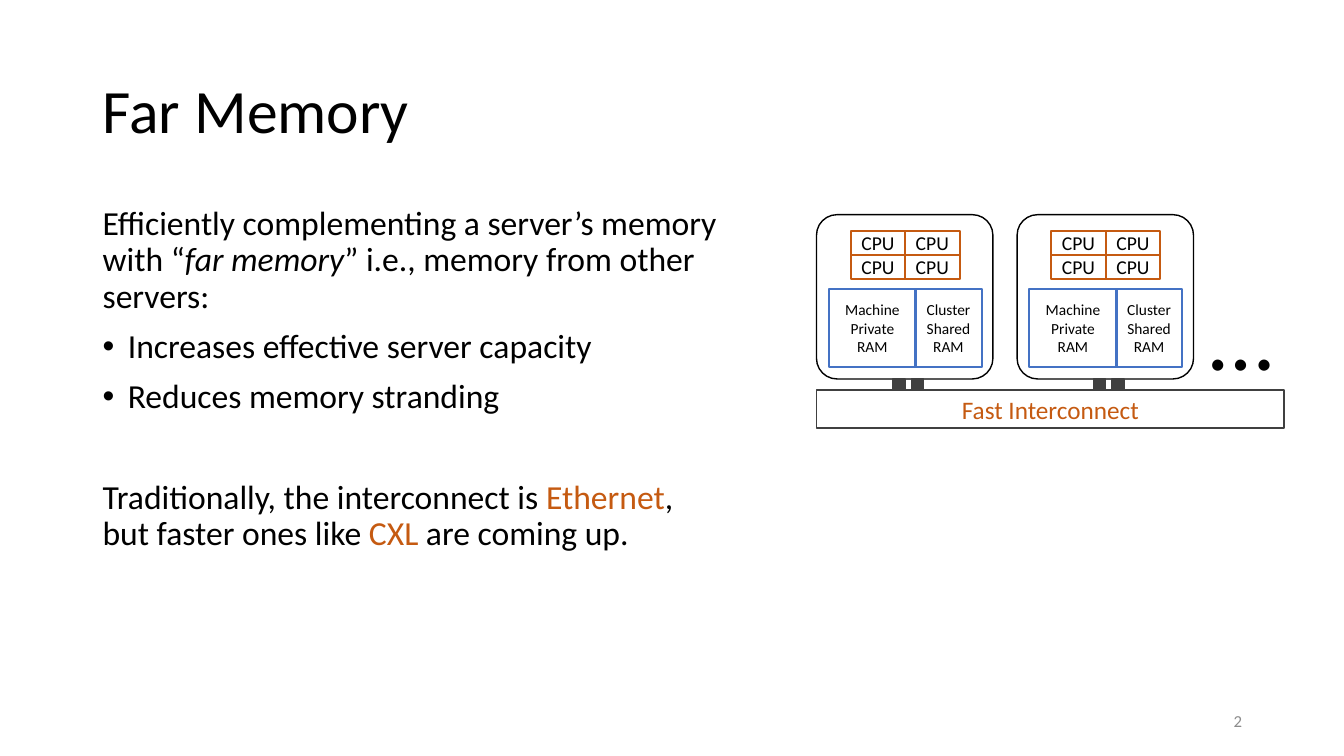
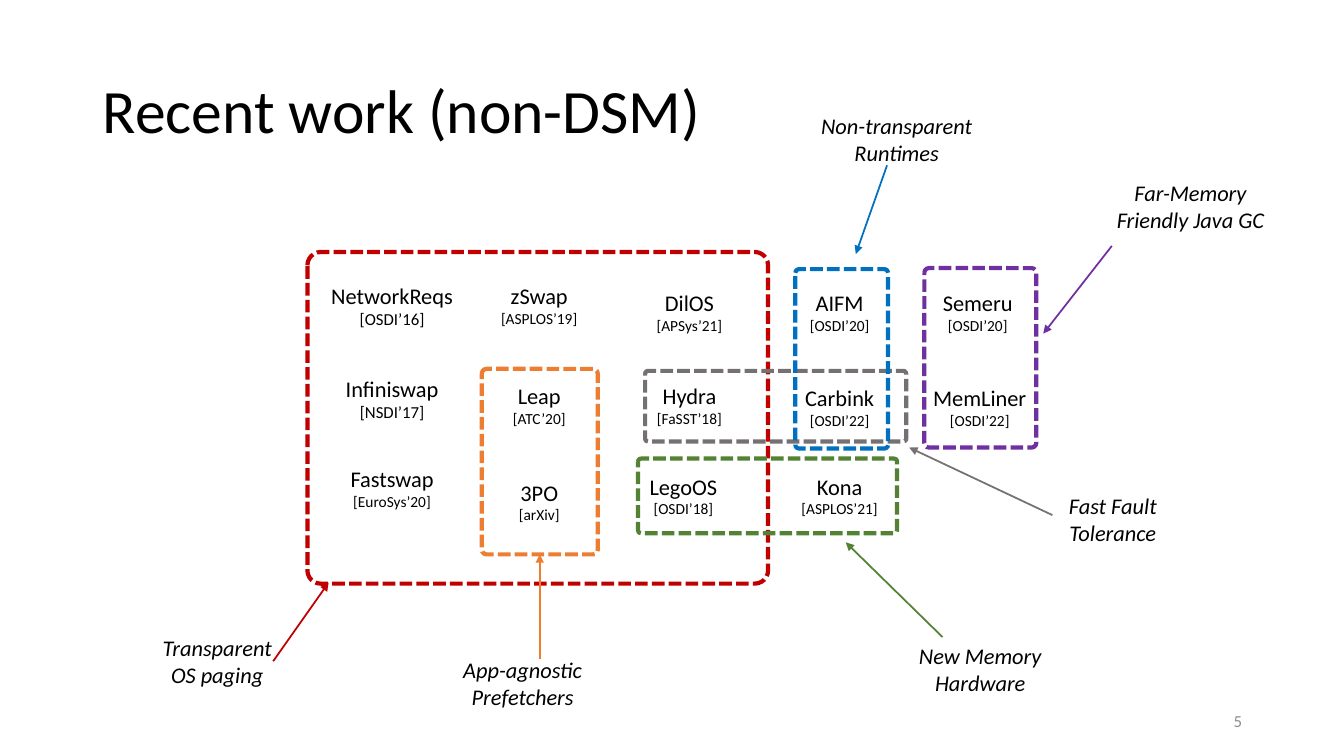
from lxml.etree import SubElement
from pptx import Presentation
from pptx.dml.color import RGBColor
from pptx.enum.dml import MSO_LINE
from pptx.enum.shapes import MSO_CONNECTOR, MSO_SHAPE
from pptx.enum.text import MSO_ANCHOR, PP_ALIGN
from pptx.oxml.ns import qn
from pptx.util import Inches, Pt

BLACK, RUST, BLUE, DARK, GREY = "000000", "C55A11", "4472C4", "404040", "8C8C8C"
LEFT, MID, RIGHT = PP_ALIGN.LEFT, PP_ALIGN.CENTER, PP_ALIGN.RIGHT
RECT, ROUND = MSO_SHAPE.RECTANGLE, MSO_SHAPE.ROUNDED_RECTANGLE


def hue(code):
    """Turn a hex string into a colour."""
    return RGBColor.from_string(code)


def cell(*spans):
    """Turn grid columns or rows, a tenth of an inch each, into lengths."""
    return [Inches(span / 10) for span in spans]


def write(frame, paras, size=16, color=BLACK, italic=False, align=LEFT,
          anchor=MSO_ANCHOR.TOP, lead=None, gap=0, wrap=True, pad=None):
    """Fill a frame; a paragraph is a list of strings or (string, changes) pairs."""
    frame.word_wrap = wrap
    frame.vertical_anchor = anchor
    if pad is not None:
        frame.margin_left = frame.margin_right = pad
        frame.margin_top = frame.margin_bottom = pad
    for at, runs in enumerate(paras):
        para = frame.add_paragraph() if at else frame.paragraphs[0]
        para.alignment = align
        para.space_before = Pt(gap if at else 0)
        if lead:
            para.line_spacing = lead
        for part in runs:
            words, change = (part, {}) if isinstance(part, str) else part
            run = para.add_run()
            run.text = words
            run.font.name = Deck.face
            run.font.size = Pt(change.get("size", size))
            run.font.italic = change.get("italic", italic)
            run.font.color.rgb = hue(change.get("color", color))
    return frame


class Deck:
    """Hold the shared style and the current slide."""

    face = "Calibri"

    def __init__(self):
        """Start an empty wide deck."""
        self.show = Presentation()
        self.show.slide_width, self.show.slide_height = cell(133.33, 75)

    def page(self, title, number):
        """Add a slide with its title and number."""
        self.slide = self.show.slides.add_slide(self.show.slide_layouts[5])
        head = self.slide.shapes.title
        head.left, head.top, head.width, head.height = cell(9.2, 4, 115, 14.5)
        write(head.text_frame, [[title]], size=44, lead=0.9, anchor=MSO_ANCHOR.MIDDLE)
        self.text((94.2, 69.5, 30, 4), [[number]], size=12, color=GREY,
                  align=RIGHT, anchor=MSO_ANCHOR.MIDDLE)

    def text(self, place, paras, **form):
        """Add a text box."""
        box = self.slide.shapes.add_textbox(*cell(*place))
        return write(box.text_frame, paras, **form)

    def shape(self, kind, place, line, width, fill=None, bend=None, dash=None):
        """Add an outlined shape."""
        item = self.slide.shapes.add_shape(kind, *cell(*place))
        item.shadow.inherit = False
        item.line.color.rgb = hue(line)
        item.line.width = Pt(width)
        if dash:
            item.line.dash_style = dash
        if bend:
            item.adjustments[0] = bend
        if fill:
            item.fill.solid()
            item.fill.fore_color.rgb = hue(fill)
        else:
            item.fill.background()
        return item

    def label(self, place, words, line, width, **form):
        """Add a rectangle with centred text."""
        item = self.shape(RECT, place, line, width)
        write(item.text_frame, [[words]], align=MID, anchor=MSO_ANCHOR.MIDDLE, **form)

    def arrow(self, ends, color):
        """Add an arrow that points at its second end."""
        line = self.slide.shapes.add_connector(MSO_CONNECTOR.STRAIGHT, *cell(*ends))
        line.line.color.rgb = hue(color)
        line.line.width = Pt(1.25)
        SubElement(line.line._get_or_add_ln(), qn("a:tailEnd"), type="triangle")
        SubElement(line._element.spPr, qn("a:effectLst"))
        return line

    def dot(self, para):
        """Give a paragraph a hanging bullet."""
        props = para._p.get_or_add_pPr()
        props.set("marL", str(Inches(0.25)))
        props.set("indent", str(-Inches(0.25)))
        SubElement(props, qn("a:buFont"), typeface="Arial")
        SubElement(props, qn("a:buChar"), char="•")

    def server(self, left):
        """Draw one server with its processors, memory and plugs."""
        for at in range(4):
            row, col = divmod(at, 2)
            self.label((left + 3.4 + 5.4 * col, 22.9 + 2.4 * row, 5.4, 2.4),
                       "CPU", RUST, 1.5, size=14, pad=0)
        for step, span, words in ((1.2, 8.7, "Machine Private RAM"),
                                  (9.8, 6.6, "Cluster Shared RAM")):
            self.label((left + step, 28.7, span, 7.7), words, BLUE, 1.5, size=11)
        self.shape(ROUND, (left, 21.3, 17.5, 16.3), BLACK, 1, bend=0.125)
        for step in (7.6, 9.4):
            self.shape(RECT, (left + step, 37.6, 1.2, 1.1), DARK, 1, fill=DARK)


def memory(deck):
    """Build the far memory slide."""
    deck.page("Far Memory", "2")
    body = deck.text((9.2, 20, 63.3, 47.6), [
        ["Efficiently complementing a server’s memory with “",
         ("far memory", {"italic": True}), "” i.e., memory from other servers:"],
        ["Increases effective server capacity"],
        ["Reduces memory stranding"],
        ["Traditionally, the interconnect is ", ("Ethernet", {"color": RUST}),
         ", but faster ones like ", ("CXL ", {"color": RUST}), "are coming up."],
    ], size=24, lead=0.9, gap=10)
    for para in body.paragraphs[1:3]:
        deck.dot(para)
    body.paragraphs[3].space_before = Pt(46)
    for left in (81, 100.9):
        deck.server(left)
    deck.label((81, 38.7, 46.4, 3.8), "Fast Interconnect", DARK, 1.25,
               size=18, color=RUST)
    deck.text((119, 27.1, 8.4, 12.1), [["…"]], size=66, wrap=False)


WORKS = (
    (38.9, 27.5, "NetworkReqs", "[OSDI’16]", 12),
    (38.9, 36.7, "Infiniswap", "[NSDI’17]", 12),
    (38.9, 45.7, "Fastswap", "[EuroSys’20]", 11),
    (53.5, 27.5, "zSwap", "[ASPLOS’19]", 11),
    (53.5, 37.4, "Leap", "[ATC’20]", 11),
    (53.5, 47, "3PO", "[arXiv]", 11),
    (68.4, 28.2, "DilOS", "[APSys’21]", 11),
    (68.4, 37.4, "Hydra", "[FaSST’18]", 11),
    (67.8, 46.4, "LegoOS", "[OSDI’18]", 11),
    (83.3, 28.2, "AIFM", "[OSDI’20]", 11),
    (83.3, 37.6, "Carbink", "[OSDI’22]", 11),
    (83.3, 46.4, "Kona", "[ASPLOS’21]", 11),
    (97, 28.2, "Semeru", "[OSDI’20]", 11),
    (97.2, 37.6, "MemLiner", "[OSDI’22]", 11),
)

THEMES = (
    ("C00000", (30.5, 25, 45.7, 32.9), (27.1, 65.6, 32.6, 57.8),
     (14.3, 62.4, 14.5, 6.4), ["Transparent OS paging"], None),
    ("ED7D31", (47.8, 36.6, 11.5, 18.4), (53.55, 65.4, 53.55, 55),
     (44.6, 64.6, 14.5, 6.4), ["App-agnostic", "Prefetchers"], 2),
    ("548235", (63.3, 45.5, 25.7, 7.4), (93.5, 63.2, 83.9, 53.8),
     (90, 63.2, 14.5, 6.4), ["New Memory", "Hardware"], None),
    ("767171", (64, 36.8, 25.9, 7), (104.4, 51.1, 90.2, 44.4),
     (101.5, 48.3, 17.8, 6.4), ["Fast Fault", "Tolerance"], None),
    ("0070C0", (78.9, 26.7, 9.2, 17.8), (88, 16.4, 84.9, 25.2),
     (79.4, 10.6, 19.1, 6.4), ["Non-transparent Runtimes"], None),
    ("7030A0", (91.7, 26.6, 11.1, 17.8), (110.3, 24.4, 103.5, 33.1),
     (109.2, 17.3, 17.8, 6.4), ["Far-Memory", "Friendly Java GC"], None),
)


def recent(deck):
    """Build the slide of recent work and its themes."""
    deck.page("Recent work (non-DSM)", "5")
    for mid, top, name, cite, size in WORKS:
        deck.text((mid - 7.5, top, 15, 5.6), [[name], [(cite, {"size": size})]],
                  align=MID)
    for color, place, ends, spot, lines, side in THEMES:
        frame = deck.shape(ROUND, place, color, 3, bend=0.04,
                           dash=MSO_LINE.SQUARE_DOT)
        deck.text(spot, [[line] for line in lines], italic=True, align=MID)
        arrow = deck.arrow(ends, color)
        if side is not None:
            arrow.end_connect(frame, side)


def main():
    """Build and save the deck."""
    deck = Deck()
    memory(deck)
    recent(deck)
    deck.show.save("out.pptx")


if __name__ == "__main__":
    main()
